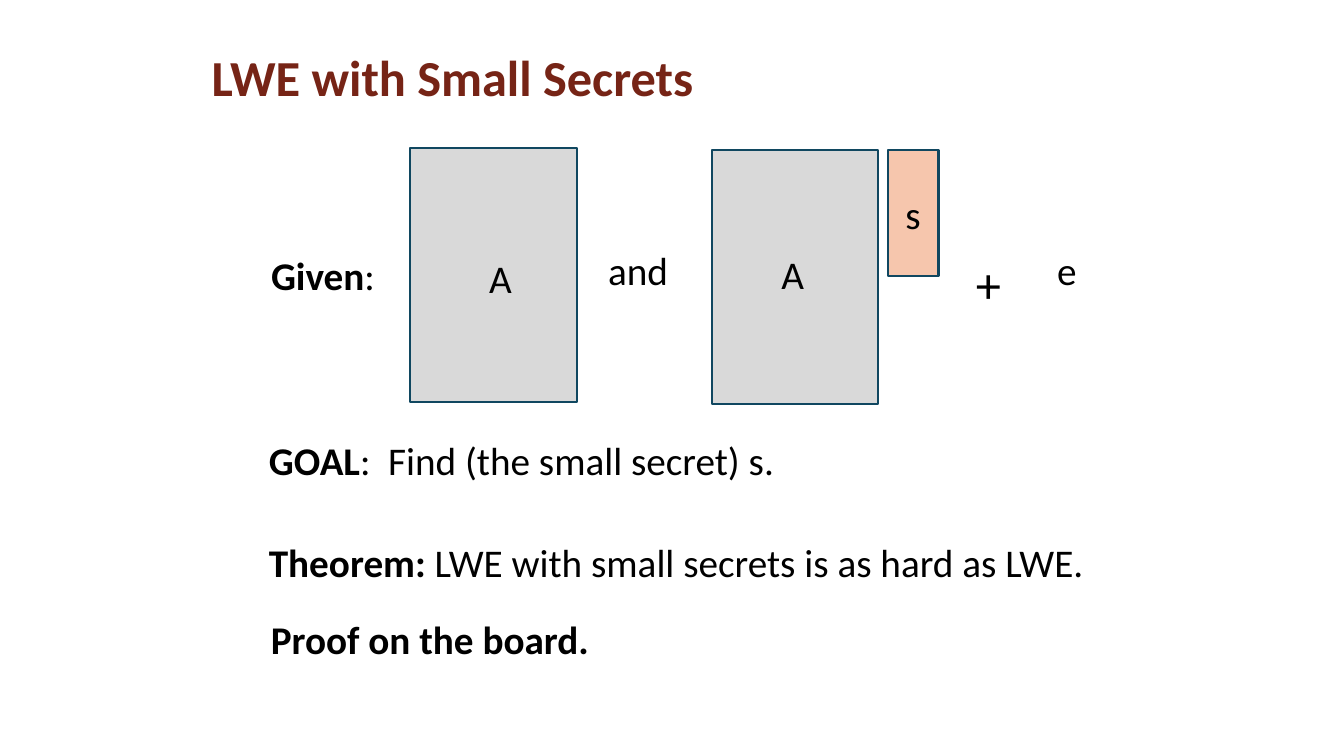
import pptx
import pptx.util
import pptx.dml.color
import pptx.enum.shapes
import pptx.enum.text

Pt = pptx.util.Pt
FONT = "Calibri"
COLORS = {
    "title": "762416",
    "text": "000000",
    "matrix": "D9D9D9",
    "secret": "F6C6AD",
    "outline": "104760",
}


def rgb(name):
    return pptx.dml.color.RGBColor.from_string(COLORS[name])


def add_text(slide, left, top, width, height, runs, size=28, color="text"):
    shape = slide.shapes.add_textbox(Pt(left), Pt(top), Pt(width), Pt(height))
    frame = shape.text_frame
    frame.word_wrap = True
    frame.vertical_anchor = pptx.enum.text.MSO_ANCHOR.MIDDLE
    paragraph = frame.paragraphs[0]
    for text, bold in runs:
        run = paragraph.add_run()
        run.text = text
        run.font.name = FONT
        run.font.size = Pt(size)
        run.font.bold = bold
        run.font.color.rgb = rgb(color)
    return paragraph


def add_block(slide, left, top, width, height, fill):
    shape = slide.shapes.add_shape(
        pptx.enum.shapes.MSO_SHAPE.RECTANGLE, Pt(left), Pt(top), Pt(width), Pt(height)
    )
    shape.shadow.inherit = False
    shape.fill.solid()
    shape.fill.fore_color.rgb = rgb(fill)
    shape.line.color.rgb = rgb("outline")
    shape.line.width = Pt(1.5)


def add_title(slide, left, top, width, height):
    runs = [("LWE with Small Secrets", True)]
    paragraph = add_text(slide, left, top, width, height, runs, 36, "title")
    paragraph.line_spacing = 0.9


def add_equation(slide, left, top, width, height):
    matrix_width, matrix_height = 118.8, height - 1.5
    blocks = [
        (107.3, 0, matrix_width, matrix_height, "matrix"),
        (322.6, 1.5, matrix_width, matrix_height, "matrix"),
        (448.6, 1.5, 36, 90, "secret"),
    ]
    for x, y, block_width, block_height, fill in blocks:
        add_block(slide, left + x, top + y, block_width, block_height, fill)

    labels = [
        (0.7, 67, 99.4, [("Given", True), (":", False)], 28),
        (156.5, 69.2, 34, [("A", False)], 28),
        (241.5, 63.4, 64, [("and", False)], 28),
        (365.3, 66.2, 34, [("A", False)], 28),
        (453.9, 23.8, 34, [("s", False)], 28),
        (504.2, 73.5, 64, [("+", False)], 36),
        (width - 34, 63.4, 34, [("e", False)], 28),
    ]
    for x, y, label_width, runs, size in labels:
        add_text(slide, left + x, top + y, label_width, 46.8, runs, size)


def add_statements(slide, left, top, width, height):
    row_height = 81.4
    goal = [("GOAL", True), (":  Find (the small secret) s.", False)]
    theorem = [
        ("Theorem: ", True),
        ("LWE with small secrets is as hard as LWE.", False),
    ]
    proof = [("Proof on the board.", True)]
    add_text(slide, left, top, width, 46.8, goal)
    add_text(slide, left, top + 55.4, width, row_height, theorem)
    add_text(slide, left + 1.4, top + height - row_height, width, row_height, proof)


def main():
    presentation = pptx.Presentation()
    presentation.slide_width = Pt(960)
    presentation.slide_height = Pt(540)
    slide = presentation.slides.add_slide(presentation.slide_layouts[6])
    add_title(slide, 144, 12.2, 678.2, 90)
    add_equation(slide, 185.8, 105.8, 596.3, 183)
    add_statements(slide, 185, 305.3, 633.6, 191.5)
    presentation.save("out.pptx")


if __name__ == "__main__":
    main()
